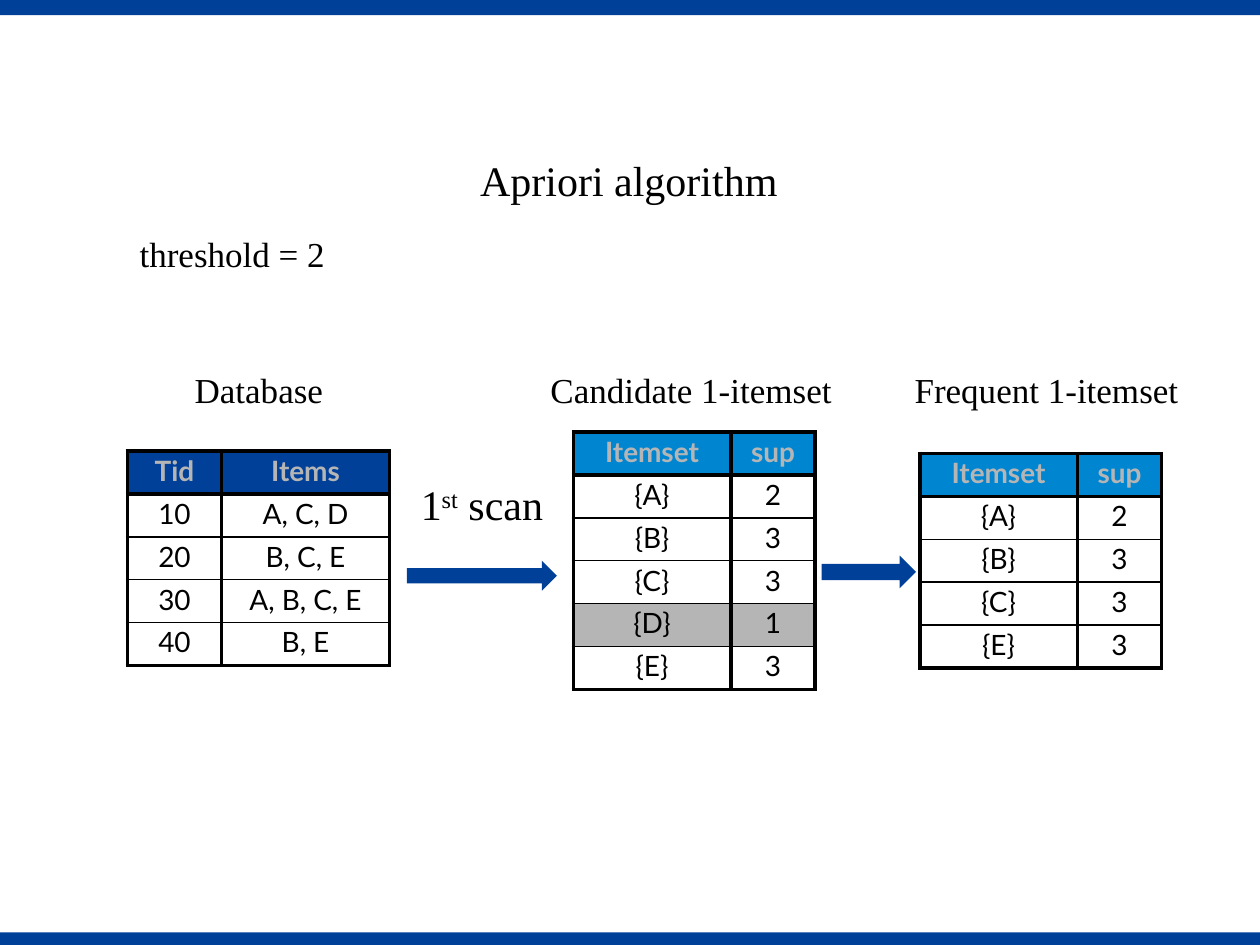
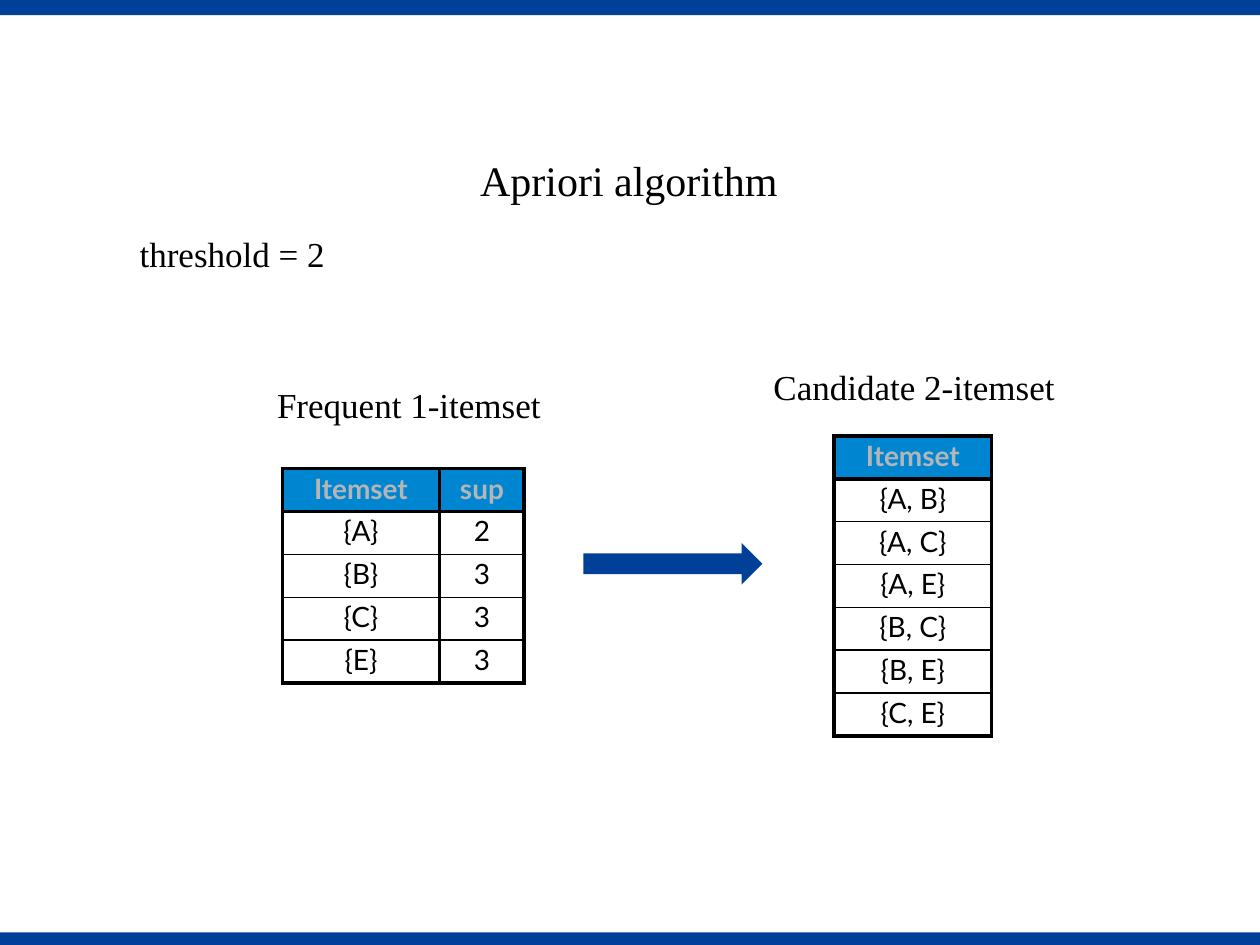
from lxml.etree import SubElement
from pptx import Presentation
from pptx.dml.color import RGBColor
from pptx.enum.shapes import MSO_SHAPE
from pptx.enum.text import MSO_ANCHOR, MSO_AUTO_SIZE, PP_ALIGN
from pptx.oxml.ns import qn
from pptx.util import Inches, Pt

NAVY = RGBColor(0x00, 0x40, 0x98)
SKY = RGBColor(0x00, 0x86, 0xD1)
GRAY = RGBColor(0xB5, 0xB5, 0xB6)
BLACK = RGBColor(0, 0, 0)

SERIF, SANS = "Times New Roman", "Lato"
ROW_HEIGHT = 0.34
ITEMSET_WIDTH, SUP_WIDTH = 1.25, 0.67
THICK, THIN = 2.25, 1

TRANSACTIONS = [("Tid", "Items"), ("10", "A, C, D"), ("20", "B, C, E"),
                ("30", "A, B, C, E"), ("40", "B, E")]
CANDIDATES_1 = [("Itemset", "sup"), ("{A}", "2"), ("{B}", "3"), ("{C}", "3"),
                ("{D}", "1"), ("{E}", "3")]
INFREQUENT_ROW = 4
FREQUENT_1 = CANDIDATES_1[:INFREQUENT_ROW] + CANDIDATES_1[INFREQUENT_ROW + 1:]
CANDIDATES_2 = [("Itemset",), ("{A, B}",), ("{A, C}",), ("{A, E}",),
                ("{B, C}",), ("{B, E}",), ("{C, E}",)]


def write(tf, text, size=20, font=SERIF, color=BLACK, bold=False,
          align=PP_ALIGN.LEFT, spacing=None):
    """Fill the first paragraph; text between carets is superscript."""
    p = tf.paragraphs[0]
    p.alignment = align
    p.line_spacing = spacing
    for i, part in enumerate(text.split("^")):
        r = p.add_run()
        r.text = part
        r.font.size = Pt(size)
        r.font.name = font
        r.font.bold = bold
        r.font.color.rgb = color
        if i % 2:
            r.font._element.set("baseline", "30000")


def set_borders(cell, **widths):
    tcPr = cell._tc.get_or_add_tcPr()
    for side in "LRTB":
        ln = SubElement(tcPr, qn(f"a:ln{side}"), w=str(Pt(widths[side])))
        fill = SubElement(ln, qn("a:solidFill"))
        SubElement(fill, qn("a:srgbClr"), val=str(BLACK))


class Deck:
    def __init__(self):
        self.prs = Presentation()
        self.prs.slide_width, self.prs.slide_height = Inches(10), Inches(7.5)
        self.s = None

    def slide(self, title):
        """Start a slide with the bands, the title and the threshold."""
        self.s = self.prs.slides.add_slide(self.prs.slide_layouts[5])
        self.shape(MSO_SHAPE.RECTANGLE, 0, 7.4, 10, 0.1)
        self.shape(MSO_SHAPE.RECTANGLE, 0, 0, 10, 0.12)
        sp = self.s.shapes.title
        sp.left, sp.top = Inches(3.71), Inches(1.18)
        sp.width, sp.height = Inches(2.58), Inches(0.5)
        self.frame(sp.text_frame, title, size=24)
        self.text("threshold = 2", 1.01, 1.79, 1.8)

    def shape(self, kind, x, y, w, h):
        sp = self.s.shapes.add_shape(kind, Inches(x), Inches(y), Inches(w), Inches(h))
        sp.shadow.inherit = False
        sp.fill.solid()
        sp.fill.fore_color.rgb = NAVY
        sp.line.fill.background()

    def arrow(self, x, y, w, h):
        self.shape(MSO_SHAPE.RIGHT_ARROW, x, y, w, h)

    def frame(self, tf, text, **style):
        tf.word_wrap = False
        tf.auto_size = MSO_AUTO_SIZE.SHAPE_TO_FIT_TEXT
        tf.vertical_anchor = MSO_ANCHOR.MIDDLE
        write(tf, text, **style)

    def text(self, text, x, y, w, h=0.44, **style):
        sp = self.s.shapes.add_textbox(Inches(x), Inches(y), Inches(w), Inches(h))
        self.frame(sp.text_frame, text, **style)

    def table(self, rows, x, y, widths=(ITEMSET_WIDTH, SUP_WIDTH), head=SKY, marked=None):
        """Draw a table with a filled header row and, if given, a gray marked row."""
        table = self.s.shapes.add_table(
            len(rows), len(widths), Inches(x), Inches(y),
            Inches(sum(widths)), Inches(ROW_HEIGHT * len(rows))).table
        table.first_row = table.horz_banding = False
        for column, width in zip(table.columns, widths):
            column.width = Inches(width)
        last = len(rows) - 1
        for i, row in enumerate(rows):
            fill = head if i == 0 else GRAY if i == marked else None
            for j, value in enumerate(row):
                cell = table.cell(i, j)
                set_borders(cell, L=THICK, R=THICK,
                            T=THICK if i <= 1 else THIN,
                            B=THICK if i in (0, last) else THIN)
                if fill is None:
                    cell.fill.background()
                else:
                    cell.fill.solid()
                    cell.fill.fore_color.rgb = fill
                write(cell.text_frame, value, size=16, font=SANS,
                      color=BLACK if i else GRAY, bold=i == 0,
                      align=PP_ALIGN.CENTER, spacing=0.9)


def first_scan(deck):
    deck.slide("Apriori algorithm")
    deck.text("Database", 1.44, 2.87, 1.23, align=PP_ALIGN.CENTER)
    deck.table(TRANSACTIONS, 1.01, 3.58, widths=(0.75, 1.33), head=NAVY)
    deck.text("1^st^ scan", 3.23, 3.75, 1.19, 0.5, size=24, align=PP_ALIGN.CENTER)
    deck.arrow(3.23, 4.45, 1.19, 0.24)
    deck.text("Candidate 1-itemset", 4.27, 2.87, 2.45)
    deck.table(CANDIDATES_1, 4.55, 3.43, marked=INFREQUENT_ROW)
    deck.arrow(6.52, 4.41, 0.75, 0.26)
    deck.text("Frequent 1-itemset", 7.16, 2.87, 2.31)
    deck.table(FREQUENT_1, 7.3, 3.6)


def candidate_pairs(deck):
    deck.slide("Apriori algorithm")
    deck.text("Frequent 1-itemset", 2.1, 2.99, 2.31)
    deck.table(FREQUENT_1, 2.24, 3.72)
    deck.arrow(4.63, 4.31, 1.42, 0.33)
    deck.text("Candidate 2-itemset", 6.04, 2.85, 2.45)
    deck.table(CANDIDATES_2, 6.62, 3.46, widths=(ITEMSET_WIDTH,))


def main():
    deck = Deck()
    first_scan(deck)
    candidate_pairs(deck)
    deck.prs.save("out.pptx")


if __name__ == "__main__":
    main()
